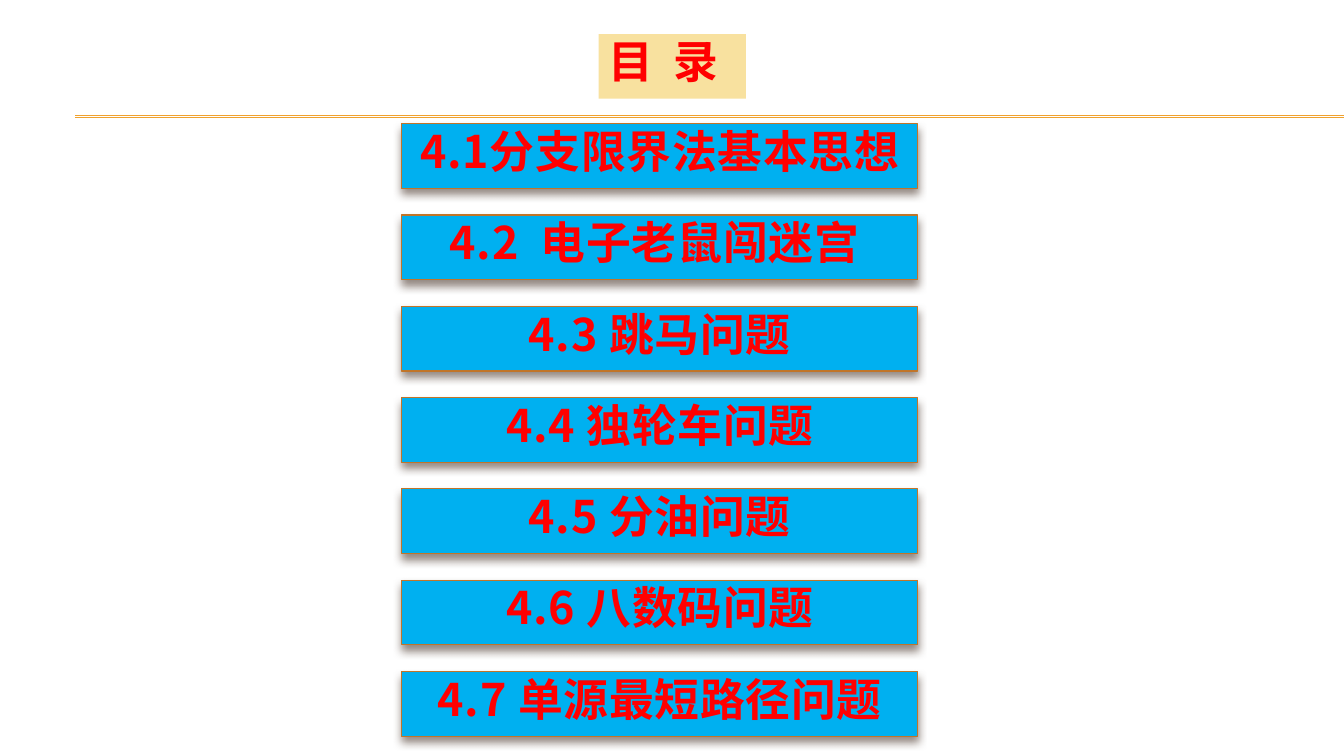
from dataclasses import dataclass

import pptx
import pptx.dml.color
import pptx.enum.shapes
import pptx.enum.text
import pptx.oxml
import pptx.oxml.ns
import pptx.util
from pptx.util import Cm

RED = "FF0000"
GOLD = "F0A22E"
CJK_FONT = "Noto Sans CJK SC"
NAMESPACE = pptx.oxml.ns.nsdecls("a")


@dataclass
class Heading:
    lead: str
    gap: str
    title: str
    gap_spacing: float = 0.5


@dataclass
class Plate:
    left: float
    top: float
    width: float
    height: float
    fill: str
    font: str
    spacing: float
    align: pptx.enum.text.PP_ALIGN
    border: str = ""


SECTIONS = [
    Heading("4.1", "", "分支限界法基本思想"),
    Heading("4.2", " ", "电子老鼠闯迷宫 ", 8.2),
    Heading("4.3", " ", "跳马问题"),
    Heading("4.4", " ", "独轮车问题"),
    Heading("4.5", " ", "分油问题"),
    Heading("4.6", " ", "八数码问题"),
    Heading("4.7", " ", "单源最短路径问题"),
]
SECTION_TOP = 3.12
SECTION_PITCH = 2.3
RULE_HEIGHTS = (2.92, 2.95)


def rgb(value: str) -> pptx.dml.color.RGBColor:
    return pptx.dml.color.RGBColor.from_string(value)


def add_effects(shape, content: str = "") -> None:
    shape._element.spPr.append(
        pptx.oxml.parse_xml(f"<a:effectLst {NAMESPACE}>{content}</a:effectLst>")
    )


def add_shadow(shape) -> None:
    add_effects(
        shape,
        '<a:outerShdw blurRad="76200" dist="50800" dir="5400000" rotWithShape="0">'
        '<a:srgbClr val="4E3B30"><a:alpha val="60000"/></a:srgbClr></a:outerShdw>',
    )


def format_run(run, font: str, spacing: float) -> None:
    run.font.size = pptx.util.Pt(32)
    run.font.bold = True
    run.font.color.rgb = rgb(RED)
    run.font.name = font
    properties = run._r.get_or_add_rPr()
    properties.set("spc", str(round(spacing * 100)))
    properties.append(
        pptx.oxml.parse_xml(f'<a:ea {NAMESPACE} typeface="{CJK_FONT}"/>')
    )


def write_heading(frame, heading: Heading, plate: Plate) -> None:
    frame.word_wrap = False
    frame.vertical_anchor = pptx.enum.text.MSO_ANCHOR.TOP
    frame.margin_top = frame.margin_bottom = 0
    paragraph = frame.paragraphs[0]
    paragraph.text = heading.lead
    paragraph.alignment = plate.align
    if heading.gap:
        paragraph.add_run().text = heading.gap
    paragraph.add_run().text = heading.title
    for run in paragraph.runs:
        is_gap = run.text == heading.gap
        format_run(run, plate.font, heading.gap_spacing if is_gap else plate.spacing)


def draw_plate(slide, plate: Plate, heading: Heading) -> None:
    panel = slide.shapes.add_shape(
        pptx.enum.shapes.MSO_SHAPE.RECTANGLE,
        Cm(plate.left), Cm(plate.top), Cm(plate.width), Cm(plate.height),
    )
    panel.fill.solid()
    panel.fill.fore_color.rgb = rgb(plate.fill)
    if plate.border:
        panel.line.color.rgb = rgb(plate.border)
        panel.line.width = pptx.util.Pt(0.79)
        add_shadow(panel)
    else:
        panel.line.fill.background()
        panel.shadow.inherit = False
    write_heading(panel.text_frame, heading, plate)


def draw_rule(slide, height: float) -> None:
    rule = slide.shapes.add_connector(
        pptx.enum.shapes.MSO_CONNECTOR.STRAIGHT,
        Cm(1.9), Cm(height), Cm(33.87), Cm(height),
    )
    rule.line.color.rgb = rgb(GOLD)
    rule.line.width = pptx.util.Pt(0.75)
    add_effects(rule)


def main() -> None:
    presentation = pptx.Presentation()
    presentation.slide_width = Cm(33.87)
    presentation.slide_height = Cm(19.05)
    slide = presentation.slides.add_slide(presentation.slide_layouts[6])

    for height in RULE_HEIGHTS:
        draw_rule(slide, height)

    for index, section in enumerate(SECTIONS):
        top = SECTION_TOP + index * SECTION_PITCH
        section_plate = Plate(
            10.13, top, 13, 1.63, "00B0F0", CJK_FONT, 0.5,
            pptx.enum.text.PP_ALIGN.CENTER, "C17529",
        )
        draw_plate(slide, section_plate, section)

    contents_plate = Plate(
        15.09, 0.86, 3.71, 1.63, "F8E19F", "Calibri", 0,
        pptx.enum.text.PP_ALIGN.LEFT,
    )
    draw_plate(slide, contents_plate, Heading("目", " ", "录", 7.2))

    presentation.save("out.pptx")


if __name__ == "__main__":
    main()
